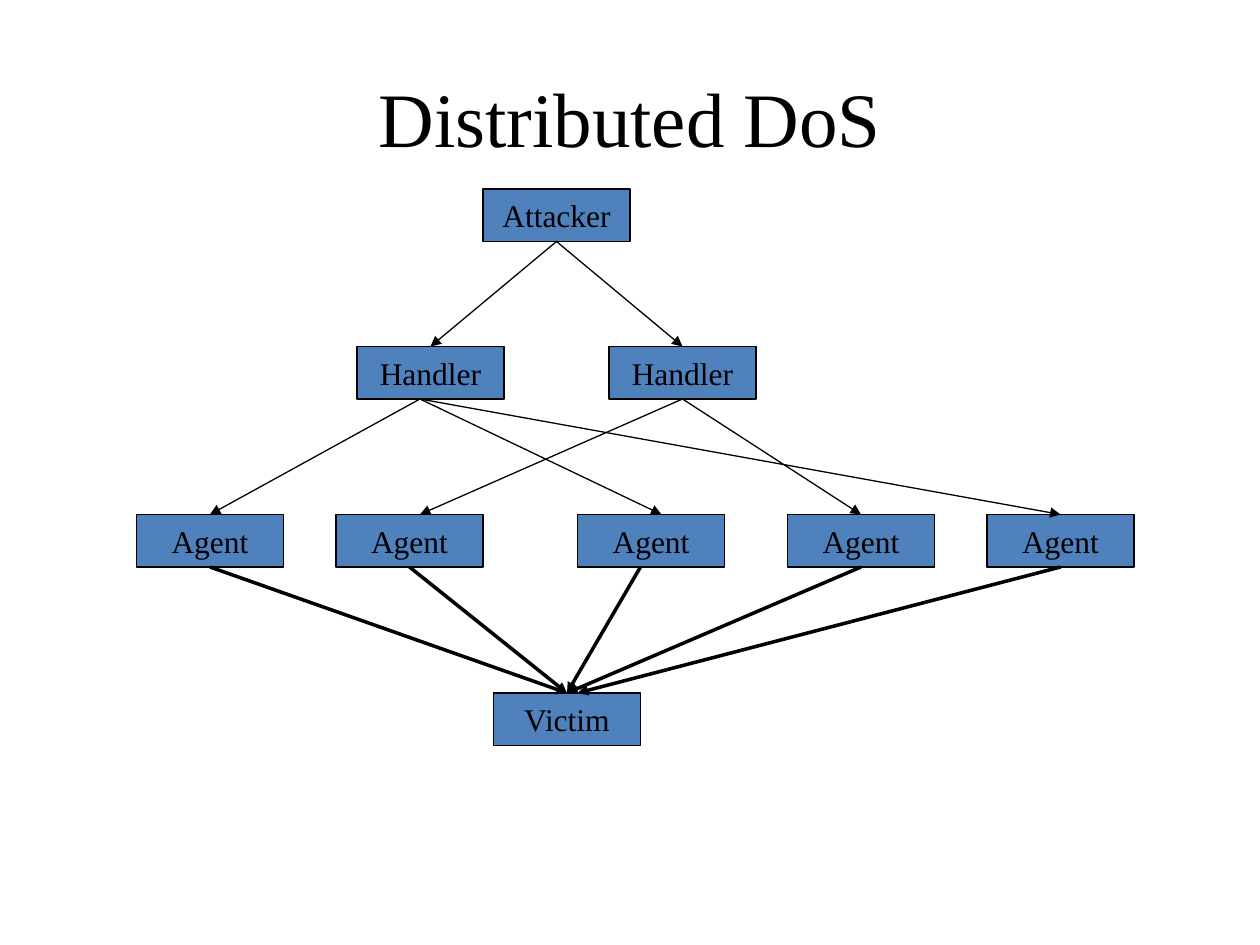
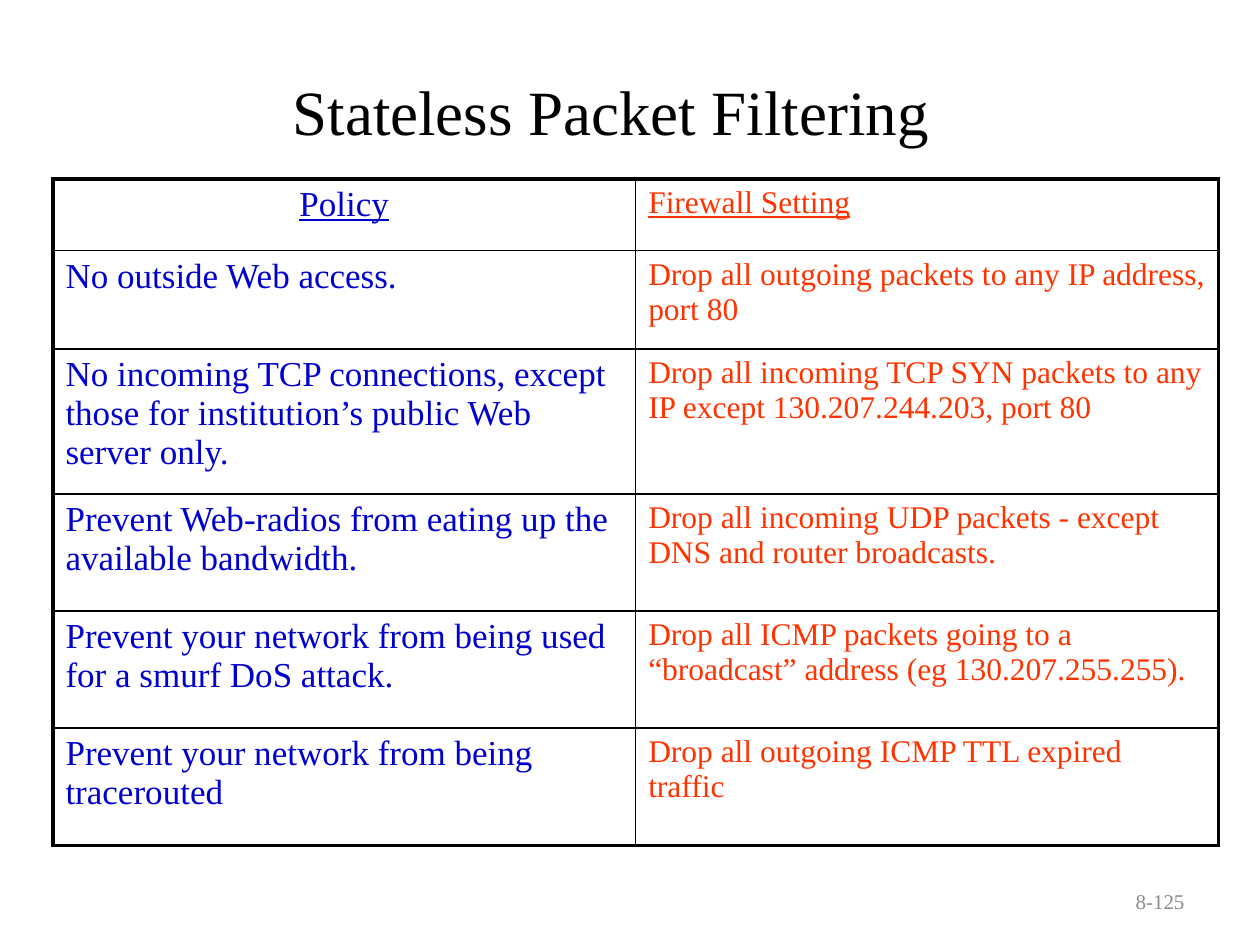
from lxml.etree import Element, SubElement
from pptx import Presentation
from pptx.dml.color import RGBColor
from pptx.enum.shapes import MSO_CONNECTOR, MSO_SHAPE
from pptx.enum.text import MSO_ANCHOR, PP_ALIGN
from pptx.oxml.ns import qn
from pptx.util import Inches, Pt

FONT = "Times New Roman"
BLACK, BOX_BLUE, GREY = "000000", "4F81BD", "8C8C8C"
POLICY_BLUE, SETTING_RED = "0000CC", "FF3300"
UNIT = Inches(1) // 12


def color(value):
    return RGBColor.from_string(value)


def write(frame, text, size, hue, align, underline=False):
    frame.text = text
    paragraph = frame.paragraphs[0]
    paragraph.alignment = align
    font = paragraph.runs[0].font
    font.name, font.size, font.bold = FONT, Pt(size), False
    font.color.rgb = color(hue)
    font.underline = underline


deck = Presentation()
deck.slide_width, deck.slide_height = Inches(10), Inches(7.5)

headings = [
    ("Distributed DoS", 44, (0.5, 0.3, 9, 1.25)),
    ("Stateless Packet Filtering", 36, (0.27, 0.25, 9.16, 1.25)),
]
slides = []
for heading, size, place in headings:
    slide = deck.slides.add_slide(deck.slide_layouts[5])
    title = slide.shapes.title
    title.left, title.top, title.width, title.height = map(Inches, place)
    write(title.text_frame, heading, size, BLACK, PP_ALIGN.CENTER)
    title.text_frame.vertical_anchor = MSO_ANCHOR.MIDDLE
    slides.append(slide)
attack, filtering = slides

BOX_WIDTH, BOX_HEIGHT = 14, 5
tiers = [
    ("Attacker", 18, [46]),
    ("Handler", 33, [34, 58]),
    ("Agent", 49, [13, 32, 55, 75, 94]),
    ("Victim", 66, [47]),
]
machines = []
for role, row, columns in tiers:
    tier = []
    for column in columns:
        machine = attack.shapes.add_shape(
            MSO_SHAPE.RECTANGLE, column * UNIT, row * UNIT,
            BOX_WIDTH * UNIT, BOX_HEIGHT * UNIT)
        machine.shadow.inherit = False
        machine.fill.solid()
        machine.fill.fore_color.rgb = color(BOX_BLUE)
        machine.line.color.rgb = color(BLACK)
        machine.line.width = Pt(0.75)
        write(machine.text_frame, role, 18, BLACK, PP_ALIGN.CENTER)
        machine.text_frame.word_wrap = False
        machine.text_frame.vertical_anchor = MSO_ANCHOR.MIDDLE
        tier.append(machine)
    machines.append(tier)

# tier, sender, sender column, receiver, receiver column
commands = [
    (0, 0, 53, 0, 41), (0, 0, 53, 1, 65),
    (1, 0, 40, 0, 20), (1, 0, 40, 2, 63), (1, 0, 40, 4, 101),
    (1, 1, 65, 1, 40), (1, 1, 65, 3, 82),
    (2, 0, 20, 0, 54), (2, 1, 39, 0, 54), (2, 2, 61, 0, 54),
    (2, 3, 82, 0, 54), (2, 4, 101, 0, 55),
]
for level, sender, start, receiver, end in commands:
    source, target = machines[level][sender], machines[level + 1][receiver]
    arrow = attack.shapes.add_connector(
        MSO_CONNECTOR.STRAIGHT, start * UNIT, source.top + source.height,
        end * UNIT, target.top)
    if start * UNIT == source.left + source.width // 2:
        arrow.begin_connect(source, 2)
    if end * UNIT == target.left + target.width // 2:
        arrow.end_connect(target, 0)
    arrow.line.color.rgb = color(BLACK)
    arrow.line.width = Pt(2 if level == 2 else 0.75)
    properties = arrow.element.spPr
    SubElement(properties.find(qn("a:ln")), qn("a:tailEnd"), type="triangle")
    SubElement(properties, qn("a:effectLst"))

rules = [
    ("Policy", "Firewall Setting"),
    ("No outside Web access.",
     "Drop all outgoing packets to any IP address, port 80"),
    ("No incoming TCP connections, except those for institution’s public Web server only.",
     "Drop all incoming TCP SYN packets to any IP except 130.207.244.203, port 80"),
    ("Prevent Web-radios from eating up the available bandwidth.",
     "Drop all incoming UDP packets - except DNS and router broadcasts."),
    ("Prevent your network from being used for a smurf DoS attack.",
     "Drop all ICMP packets going to a “broadcast” address (eg 130.207.255.255)."),
    ("Prevent your network from being tracerouted",
     "Drop all outgoing ICMP TTL expired traffic"),
]
row_heights = [0.57, 0.78, 1.15, 0.93, 0.93, 0.93]
column_styles = [(20, POLICY_BLUE), (18, SETTING_RED)]
policies = filtering.shapes.add_table(
    len(rules), 2, Inches(0.42), Inches(1.42),
    Inches(9.25), Inches(sum(row_heights))).table
policies.first_row = policies.horz_banding = False
for column in policies.columns:
    column.width = Inches(9.25) // 2
for r, (rule, height) in enumerate(zip(rules, row_heights)):
    policies.rows[r].height = Inches(height)
    for c, (text, (size, hue)) in enumerate(zip(rule, column_styles)):
        cell = policies.cell(r, c)
        align = PP_ALIGN.CENTER if r == c == 0 else PP_ALIGN.LEFT
        write(cell.text_frame, text, size, hue, align, underline=r == 0)
        cell.fill.background()
        outer_edges = {"lnL": c == 0, "lnR": c == 1,
                       "lnT": r == 0, "lnB": r == len(rules) - 1}
        for position, (edge, outer) in enumerate(outer_edges.items()):
            border = Element(qn("a:" + edge), w=str(Pt(2.25 if outer else 1)))
            ink = SubElement(border, qn("a:solidFill"))
            SubElement(ink, qn("a:srgbClr"), val=str(color(BLACK)))
            cell._tc.get_or_add_tcPr().insert(position, border)

page_number = filtering.shapes.add_textbox(
    Inches(7.17), Inches(6.95), Inches(2.33), Inches(0.4)).text_frame
page_number.word_wrap = True
page_number.vertical_anchor = MSO_ANCHOR.MIDDLE
write(page_number, "8-125", 12, GREY, PP_ALIGN.RIGHT)

deck.save("out.pptx")
